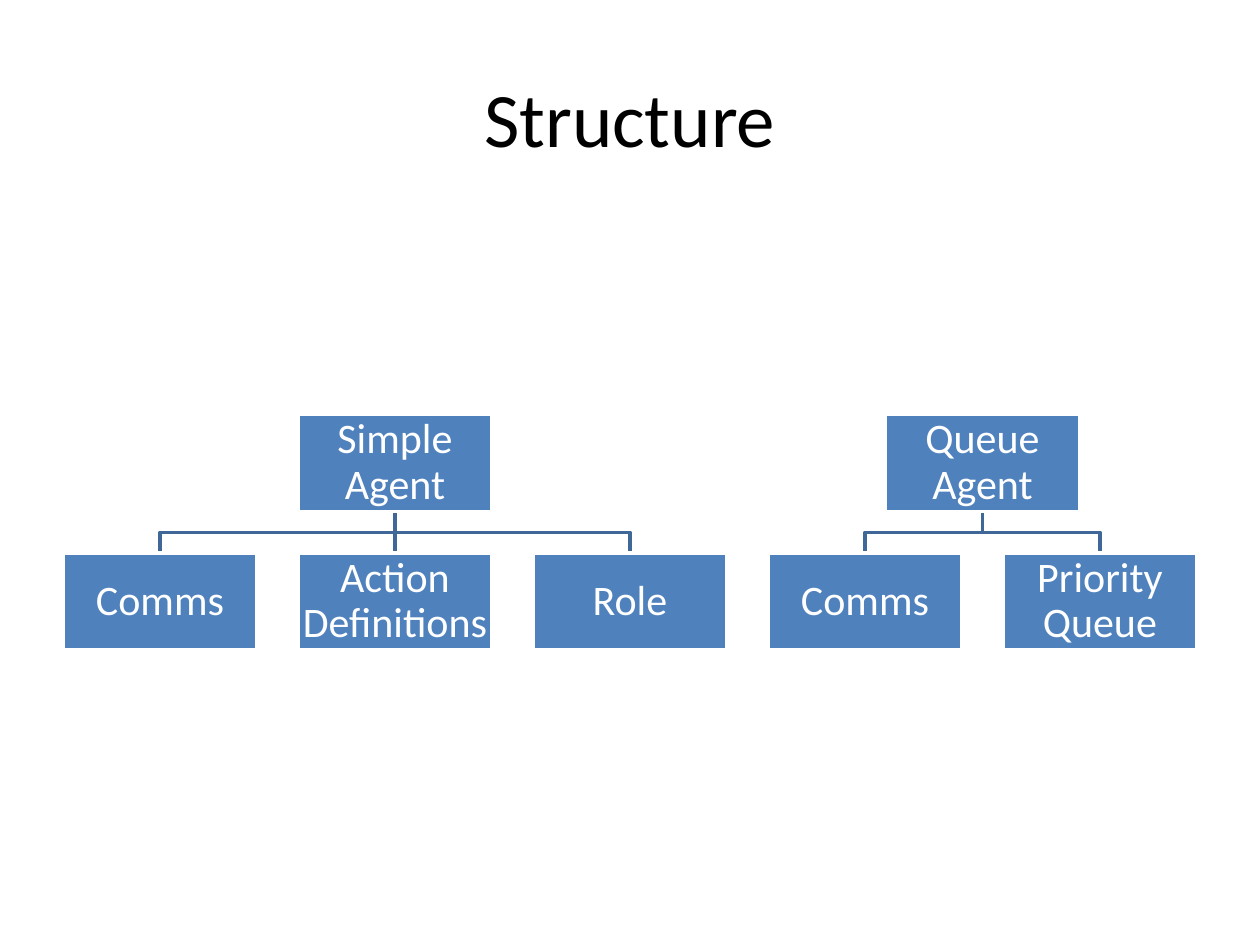
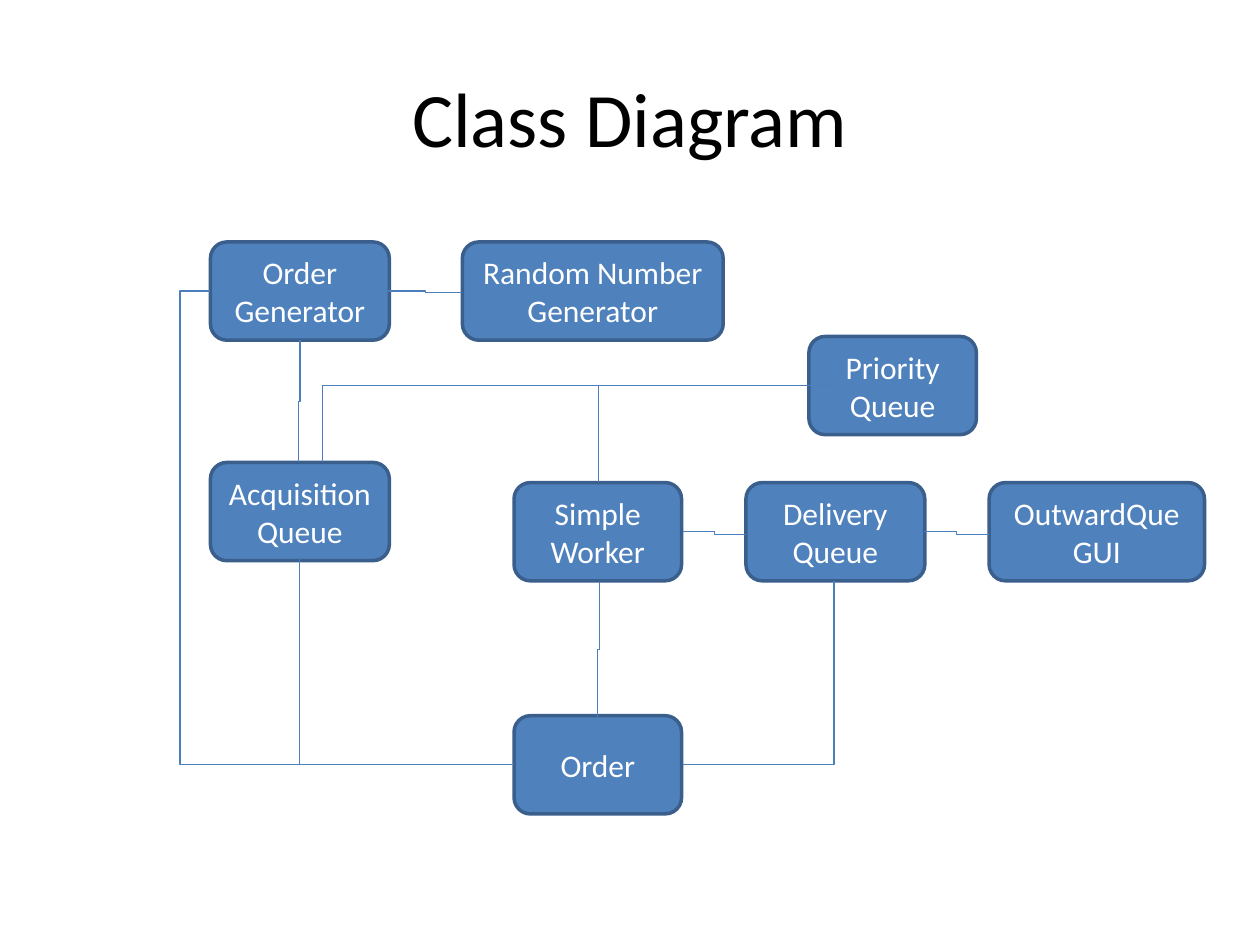
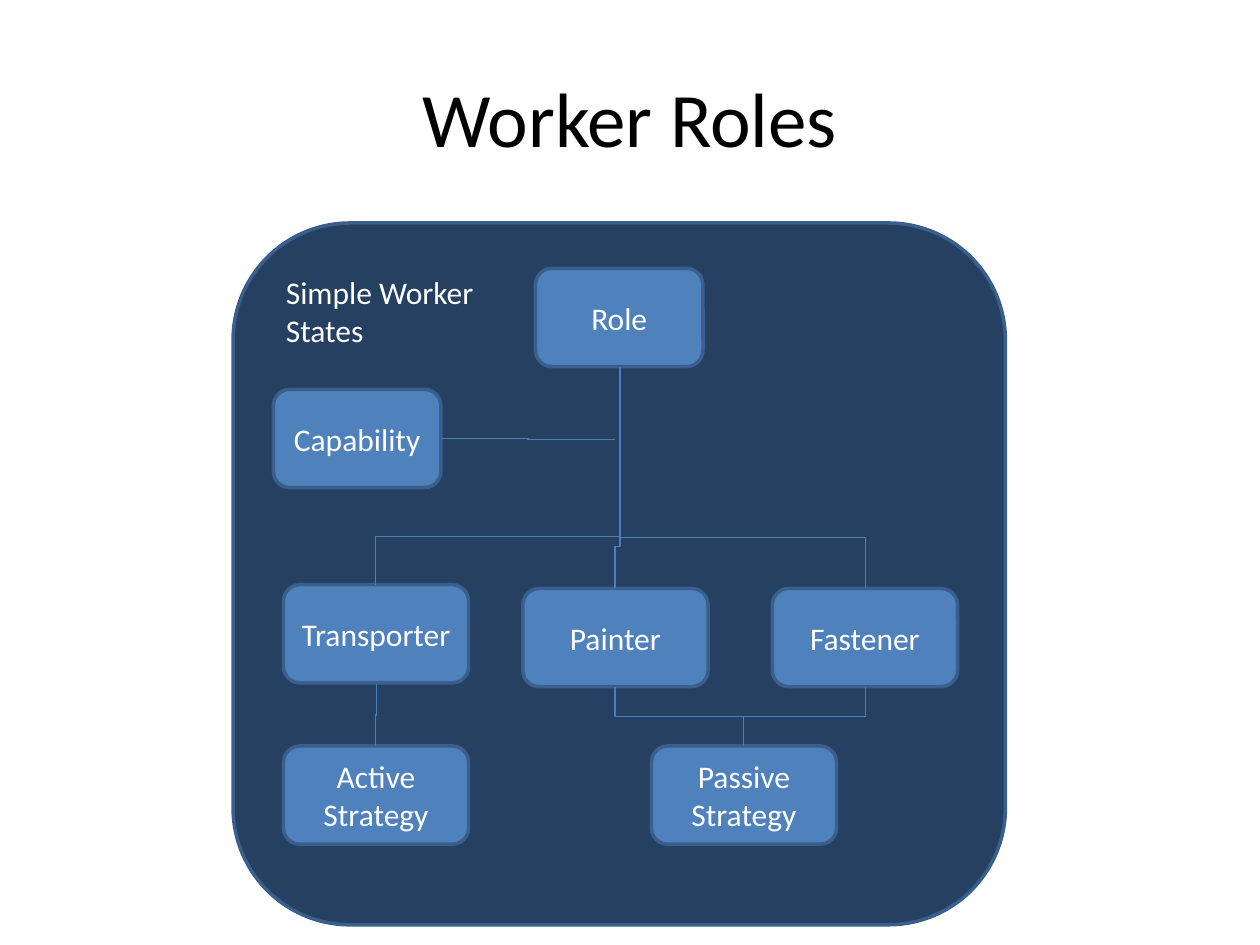
from lxml.etree import SubElement
from pptx import Presentation
from pptx.dml.color import RGBColor
from pptx.enum.shapes import MSO_CONNECTOR as Link, MSO_SHAPE as Shape
from pptx.enum.text import MSO_ANCHOR as Anchor, MSO_AUTO_SIZE as AutoSize, PP_ALIGN as Align
from pptx.oxml.ns import qn
from pptx.util import Inches, Pt

FONT = "Calibri"
BLACK = RGBColor(0x00, 0x00, 0x00)
WHITE = RGBColor(0xFF, 0xFF, 0xFF)
BLUE = RGBColor(0x4F, 0x81, 0xBD)
NAVY = RGBColor(0x25, 0x40, 0x61)
BORDER = RGBColor(0x3A, 0x5F, 0x8C)
LINK = RGBColor(0x4B, 0x7E, 0xBC)
TREE_LINK = RGBColor(0x3F, 0x67, 0x97)

TITLE_ONLY = 5
QUARTER_TURN = "5400000"
BOX_HEIGHT = 0.78

# Agents and their parts
AGENTS = [
    ("Simple Agent", ["Comms", "Action Definitions", "Role"]),
    ("Queue Agent", ["Comms", "Priority Queue"]),
]
TREE_LEFT, TREE_STEP = 0.5, 1.865
AGENT_TOP, PART_TOP = 3.29, 4.39
TREE_WIDTH, TREE_HEIGHT = 1.54, 0.77

# Boxes: text, left, top, width
CLASSES = [
    ("Order", 4.08, 5.68, 1.33),
    ("Simple\nWorker", 4.08, 3.83, 1.33),
    ("Acquisition Queue", 1.67, 3.67, 1.42),
    ("Delivery Queue", 5.92, 3.83, 1.42),
    ("Order Generator", 1.67, 1.92, 1.42),
    ("Random Number Generator", 3.67, 1.92, 2.07),
    ("OutwardQueGUI", 7.85, 3.83, 1.71),
    ("Priority Queue", 6.42, 2.67, 1.33),
]
ROLES = [
    ("Role", 4.25, 2.13, 1.33),
    ("Transporter", 2.25, 4.64, 1.47),
    ("Painter", 4.15, 4.67, 1.47),
    ("Fastener", 6.13, 4.67, 1.47),
    ("Capability", 2.17, 3.09, 1.33),
    ("Active Strategy", 2.25, 5.92, 1.47),
    ("Passive Strategy", 5.17, 5.92, 1.47),
]

# Links: start, end, then the format of the elbow
CLASS_LINKS = [
    ((4.08, 6.07), (2.38, 4.44), dict(bends=1)),
    ((5.42, 6.07), (6.62, 4.61), dict(bends=1)),
    ((4.74, 5.69), (4.76, 4.62), dict(vertical=True)),
    ((5.42, 4.22), (5.92, 4.24), {}),
    ((2.38, 2.7), (2.37, 3.67), dict(vertical=True)),
    ((1.67, 2.31), (4.08, 6.07), dict(bend_at=-0.1)),
    ((3.08, 2.31), (3.67, 2.32), {}),
    ((7.33, 4.22), (7.85, 4.24), {}),
    ((2.56, 3.67), (6.6, 3.06), dict(vertical=True, bends=1)),
    ((4.75, 3.83), (6.42, 3.06), dict(vertical=True, bends=1)),
]
ROLE_LINKS = [
    ((4.92, 2.91), (2.98, 4.64), dict(vertical=True, bend_at=0.78)),
    ((4.92, 2.91), (4.88, 4.67), dict(vertical=True, bend_at=0.81)),
    ((4.92, 2.91), (6.87, 4.67), dict(vertical=True, bend_at=0.77)),
    ((3.5, 3.48), (4.88, 3.49), {}),
    ((2.99, 5.43), (2.98, 5.92), dict(vertical=True)),
    ((4.88, 5.45), (5.9, 5.92), dict(vertical=True)),
    ((6.87, 5.45), (5.9, 5.92), dict(vertical=True)),
]


def write(frame, text, size=18, color=WHITE, align=Align.CENTER, anchor=Anchor.MIDDLE,
          spacing=None, margin=None):
    frame.text = text
    frame.word_wrap = True
    frame.vertical_anchor = anchor
    if margin is not None:
        frame.margin_left = frame.margin_right = Inches(margin)
        frame.margin_top = frame.margin_bottom = Inches(margin)
    for para in frame.paragraphs:
        para.alignment = align
        para.line_spacing = spacing
        para.font.size = Pt(size)
        para.font.name = FONT
        para.font.color.rgb = color


def add_page(deck, title):
    page = deck.slides.add_slide(deck.slide_layouts[TITLE_ONLY])
    holder = page.shapes.title
    holder.left, holder.top, holder.width, holder.height = map(Inches, (0.5, 0.3, 9, 1.25))
    write(holder.text_frame, title, size=44, color=BLACK)
    return page


def add_box(page, text, left, top, width, height=BOX_HEIGHT, kind=Shape.ROUNDED_RECTANGLE,
            fill=BLUE, border=BORDER, **text_format):
    box = page.shapes.add_shape(kind, *map(Inches, (left, top, width, height)))
    box.shadow.inherit = False
    box.fill.solid()
    box.fill.fore_color.rgb = fill
    box.line.color.rgb = border
    box.line.width = Pt(2)
    if text:
        write(box.text_frame, text, **text_format)
    return box


def add_link(page, start, end, kind=Link.STRAIGHT, color=LINK, weight=0.75):
    link = page.shapes.add_connector(kind, *map(Inches, (*start, *end)))
    link.line.color.rgb = color
    link.line.width = Pt(weight)
    SubElement(link._element.spPr, qn("a:effectLst"))
    return link


def add_elbow(page, start, end, vertical=False, bends=2, bend_at=0.5, **line_format):
    """Link two points at right angles; a vertical start is a horizontal one turned by 90°."""
    if vertical:
        (x1, y1), (x2, y2) = start, end
        middle_x, middle_y = (x1 + x2) / 2, (y1 + y2) / 2
        half_x, half_y = (x2 - x1) / 2, (y2 - y1) / 2
        start = middle_x - half_y, middle_y + half_x
        end = middle_x + half_y, middle_y - half_x
    link = add_link(page, start, end, Link.ELBOW, **line_format)
    properties = link._element.spPr
    if vertical:
        properties.find(qn("a:xfrm")).set("rot", QUARTER_TURN)
    geometry = properties.find(qn("a:prstGeom"))
    if bends == 1:
        geometry.set("prst", "bentConnector2")
    elif bend_at != 0.5:
        SubElement(geometry.find(qn("a:avLst")), qn("a:gd"),
                   name="adj1", fmla=f"val {round(bend_at * 100000)}")


def add_tree(page, agent, parts, first_column):
    """Draw the links first, so that the white borders of the boxes cover their ends."""
    lefts = [TREE_LEFT + TREE_STEP * (first_column + i) for i in range(len(parts))]
    agent_left = (lefts[0] + lefts[-1]) / 2
    line_format = dict(color=TREE_LINK, weight=2)
    box_format = dict(width=TREE_WIDTH, height=TREE_HEIGHT, kind=Shape.RECTANGLE,
                      border=WHITE, size=24, spacing=0.9, margin=0.02)
    start = agent_left + TREE_WIDTH / 2, AGENT_TOP + TREE_HEIGHT
    straight = {}
    for i, left in enumerate(lefts):
        end = left + TREE_WIDTH / 2, PART_TOP
        if abs(left - agent_left) < 0.01:
            straight[i] = add_link(page, start, end, **line_format)
        else:
            add_elbow(page, start, end, vertical=True, **line_format)
    agent_box = add_box(page, agent, agent_left, AGENT_TOP, **box_format)
    for i, (part, left) in enumerate(zip(parts, lefts)):
        part_box = add_box(page, part, left, PART_TOP, **box_format)
        if i in straight:
            straight[i].begin_connect(agent_box, 2)
            straight[i].end_connect(part_box, 0)


def add_diagram(page, boxes, links):
    for box in boxes:
        add_box(page, *box)
    for start, end, elbow_format in links:
        add_elbow(page, start, end, **elbow_format)


def main():
    deck = Presentation()
    deck.slide_width, deck.slide_height = Inches(10), Inches(7.5)

    page = add_page(deck, "Structure")
    column = 0
    for agent, parts in AGENTS:
        add_tree(page, agent, parts, column)
        column += len(parts)

    page = add_page(deck, "Class Diagram")
    add_diagram(page, CLASSES, CLASS_LINKS)

    page = add_page(deck, "Worker Roles")
    add_box(page, "", 1.85, 1.77, 6.13, 5.57, fill=NAVY)
    label = page.shapes.add_textbox(*map(Inches, (2.17, 2.12, 1.98, 0.71)))
    write(label.text_frame, "Simple Worker States", align=Align.LEFT, anchor=Anchor.TOP)
    label.text_frame.auto_size = AutoSize.SHAPE_TO_FIT_TEXT
    add_diagram(page, ROLES, ROLE_LINKS)

    deck.save("out.pptx")


if __name__ == "__main__":
    main()
